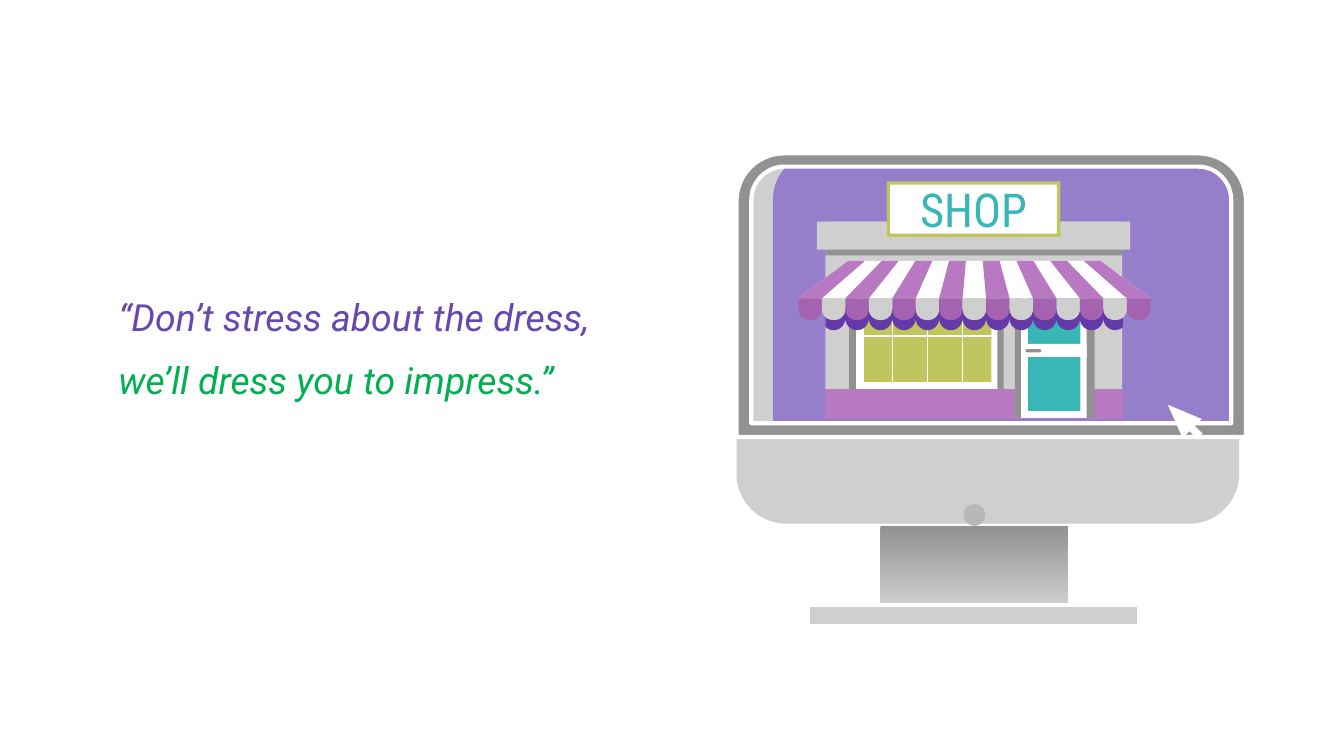
from math import cos, pi, sin

from lxml.etree import SubElement
from pptx import Presentation
from pptx.dml.color import RGBColor
from pptx.enum.shapes import MSO_CONNECTOR, MSO_SHAPE as Preset
from pptx.enum.text import MSO_ANCHOR, PP_ALIGN
from pptx.oxml.ns import qn
from pptx.util import Cm, Pt

WHITE, SILVER, GREY, DOT = "FFFFFF", "CFCFCF", "929292", "B7B7B7"
LILAC, ORCHID, PLUM, VIOLET = "957FCA", "B878C2", "A562B0", "6639A8"
OLIVE, TEAL, INDIGO, GREEN = "C0C55F", "39B6B5", "6648AE", "00B050"


def color(hex_code):
    return RGBColor.from_string(hex_code)


def set_all(target, values):
    for name, value in values.items():
        setattr(target, name, value)


def arc(cx, cy, r, start, end, steps=12):
    """Points on a circle, angles in degrees clockwise from the right."""
    angles = [(start + (end - start) * i / steps) * pi / 180
              for i in range(steps + 1)]
    return [(cx + r * cos(a), cy + r * sin(a)) for a in angles]


def arch(left, top, right, bottom, r):
    """Rectangle outline with its two upper corners rounded."""
    return [(left, bottom), *arc(left + r, top + r, r, 180, 270),
            *arc(right - r, top + r, r, 270, 360), (right, bottom)]


class Painter:
    FRAME = {"word_wrap": True, "vertical_anchor": MSO_ANCHOR.MIDDLE,
             "margin_left": 0, "margin_right": 0,
             "margin_top": Cm(0.25), "margin_bottom": Cm(0.25)}

    def __init__(self, slide):
        self.shapes = slide.shapes

    def finish(self, shape, fill, line=None, width=2.25):
        shape.shadow.inherit = False
        if isinstance(fill, tuple):
            shape.fill.gradient()
            shape.fill.gradient_angle = 270
            for stop, shade in zip(shape.fill.gradient_stops, fill):
                stop.color.rgb = color(shade)
        else:
            shape.fill.solid()
            shape.fill.fore_color.rgb = color(fill)
        if line:
            shape.line.color.rgb = color(line)
            shape.line.width = Pt(width)
        else:
            shape.line.fill.background()

    def preset(self, kind, box, fill, adjust=(), **outline):
        shape = self.shapes.add_shape(kind, *map(Cm, box))
        for i, value in enumerate(adjust):
            shape.adjustments[i] = value
        self.finish(shape, fill, **outline)

    def rect(self, box, fill, **outline):
        self.preset(Preset.RECTANGLE, box, fill, **outline)

    def outline(self, contours, fill, **outline):
        """Closed polygon; each contour after the first cuts a hole."""
        paths = [[(Cm(x), Cm(y)) for x, y in points] for points in contours]
        builder = self.shapes.build_freeform(*paths[0][0])
        for i, points in enumerate(paths):
            if i:
                builder.move_to(*points[0])
            builder.add_line_segments(points[1:], close=True)
        self.finish(builder.convert_to_shape(), fill, **outline)

    def line(self, ends, stroke, width):
        connector = self.shapes.add_connector(MSO_CONNECTOR.STRAIGHT, *map(Cm, ends))
        connector.line.color.rgb = color(stroke)
        connector.line.width = Pt(width)
        SubElement(connector._element.spPr, qn("a:effectLst"))

    def text(self, box, lines, font, paragraph_format):
        frame = self.shapes.add_textbox(*map(Cm, box)).text_frame
        set_all(frame, self.FRAME)
        for i, (words, shade) in enumerate(lines):
            paragraph = frame.add_paragraph() if i else frame.paragraphs[0]
            set_all(paragraph, paragraph_format)
            run = paragraph.add_run()
            run.text = words
            set_all(run.font, font)
            run.font.color.rgb = color(shade)


def draw_monitor(p):
    p.rect((16.64, 9.94, 3.55, 1.84), ("919191", "DDDDDD"))
    p.rect((15.27, 11.43, 6.25, 0.41), SILVER, line=WHITE)
    p.preset(Preset.ROUNDED_RECTANGLE, (13.92, 2.9, 9.5, 7), SILVER, [0.135])
    p.preset(Preset.ROUND_2_SAME_RECTANGLE, (14.61, 2.9, 8.81, 5.38), LILAC, [0.16, 0])
    p.preset(Preset.OVAL, (18.21, 9.53, 0.41, 0.41), DOT)
    p.outline([arch(13.92, 2.9, 23.55, 8.26, 0.9),
               arch(14.2, 3.15, 23.27, 8, 0.63)], GREY, line=WHITE)


def draw_shop_front(p):
    p.rect((15.6, 4.19, 5.61, 3.71), SILVER)
    for box, fill in [((16.05, 5.23, 2.92, 2.26), GREY),
                      ((16.18, 5.36, 2.67, 2), WHITE),
                      ((16.33, 5.49, 2.41, 1.73), OLIVE)]:
        p.rect(box, fill)
    p.line((16.23, 6.35, 18.8, 6.35), WHITE, 0.85)
    for i in range(3):
        x = 16.87 + 0.66 * i
        p.line((x, 5.28, x, 7.32), WHITE, 0.85)
    p.rect((15.6, 7.37, 5.61, 0.53), ORCHID, line=ORCHID, width=0.75)
    for box, fill in [((19.18, 4.98, 1.51, 2.92), GREY),
                      ((19.3, 4.93, 1.24, 2.97), WHITE),
                      ((19.43, 5.05, 0.99, 2.72), TEAL)]:
        p.rect(box, fill)


def draw_awning(p):
    count, top, bottom = 15, 4.93, 5.64
    top_left, top_right, left, right = 16.03, 20.8, 15.09, 21.74
    top_step, step = (top_right - top_left) / count, (right - left) / count

    wall_left, wall_right, shade_top = 15.6, 21.22, 5.84
    waves = [point for i in range(1, count - 1)
             for point in arc(left + (i + 0.5) * step, 6.02, step / 2, 180, 0)]
    waves = [(min(max(x, wall_left), wall_right), y) for x, y in waves]
    p.outline([[(wall_left, shade_top), *waves, (wall_right, shade_top)]], VIOLET)

    p.rect((19.3, 6.5, 1.24, 0.25), WHITE)
    p.preset(Preset.ROUNDED_RECTANGLE, (19.38, 6.6, 0.3, 0.06), GREY, [0.5])
    p.rect((15.6, 4.37, 5.61, 0.46), GREY)
    p.rect((15.44, 4.19, 5.92, 0.53), SILVER)

    def stripe(first, last):
        return [(top_left + first * top_step, top), (left + first * step, bottom),
                (left + last * step, bottom), (top_left + last * top_step, top)]

    p.outline([stripe(0, count)], WHITE)
    for i in range(0, count, 2):
        p.outline([stripe(i, i + 1)], ORCHID)
    for i in range(count):
        p.preset(Preset.ROUND_2_SAME_RECTANGLE, (left + i * step, bottom, step, 0.41),
                 SILVER if i % 2 else PLUM, [0, 0.5])


def draw_sign(p):
    p.rect((16.81, 3.45, 3.2, 0.99), WHITE)
    p.preset(Preset.FRAME, (16.76, 3.43, 3.28, 1.05), OLIVE, [0.06])
    p.text((16.76, 3.45, 3.28, 0.99), [("SHOP", TEAL)],
           {"name": "Roboto Condensed", "size": Pt(25)},
           {"alignment": PP_ALIGN.CENTER})


def main():
    deck = Presentation()
    set_all(deck, {"slide_width": Cm(25.4), "slide_height": Cm(14.29)})
    painter = Painter(deck.slides.add_slide(deck.slide_layouts[6]))
    painter.text((2.24, 5.41, 10.62, 2.34),
                 [("“Don’t stress about the dress,", INDIGO),
                  ("we’ll dress you to impress.”", GREEN)],
                 {"name": "Roboto", "size": Pt(20), "italic": True},
                 {"space_before": Pt(10)})
    draw_monitor(painter)
    draw_shop_front(painter)
    draw_awning(painter)
    draw_sign(painter)
    cursor = [(22.07, 7.65), (22.35, 8.28), (22.48, 8.15), (22.63, 8.31),
              (22.73, 8.2), (22.58, 8.05), (22.71, 7.92)]
    painter.outline([cursor], WHITE)
    deck.save("out.pptx")


if __name__ == "__main__":
    main()
